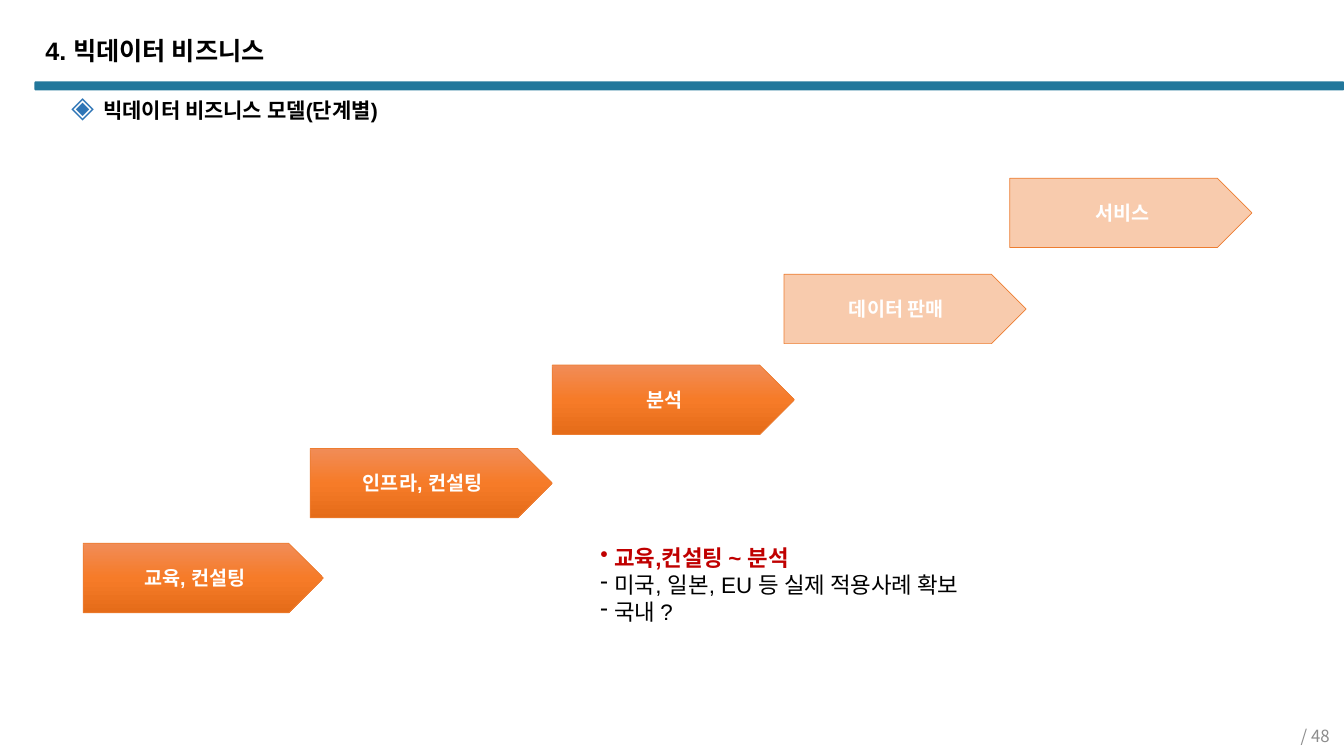
import copy

import pptx
import pptx.dml.color
import pptx.enum.shapes
import pptx.enum.text
import pptx.oxml.ns
import pptx.util
from lxml import etree

Cm, Pt = pptx.util.Cm, pptx.util.Pt
RGB = pptx.dml.color.RGBColor.from_string
SHAPE = pptx.enum.shapes.MSO_SHAPE
ALIGN = pptx.enum.text.PP_ALIGN
ANCHOR = pptx.enum.text.MSO_ANCHOR
qn = pptx.oxml.ns.qn

COLORS = {
    "bar": "22779B", "text": "000000", "white": "FFFFFF", "page": "8C8C8C",
    "diamond": "2E75B6", "accent": "C00000", "edge": "ED7D31", "pale": "F8CBAD",
    "top": "F18C57", "middle": "F67B28", "bottom": "E56C19",
}
HANGUL = "Noto Sans CJK KR"


def write(p, text, size=14, color="text", bold=False, font="Arial", align=ALIGN.LEFT,
          bullet=None, indent=0, bullet_color=None, bullet_size=None):
    p.alignment = align
    if bullet:
        pPr = p._p.get_or_add_pPr()
        pPr.set("marL", str(Cm(indent)))
        pPr.set("indent", str(-Cm(indent)))
        if bullet_color:
            clr = etree.SubElement(pPr, qn("a:buClr"))
            etree.SubElement(clr, qn("a:srgbClr"), val=COLORS[bullet_color])
        if bullet_size:
            etree.SubElement(pPr, qn("a:buSzPct"), val=str(bullet_size * 1000))
        etree.SubElement(pPr, qn("a:buChar"), char=bullet)
    r = p.add_run()
    r.text = text
    r.font.size, r.font.bold, r.font.name = Pt(size), bold, font
    r.font.color.rgb = RGB(COLORS[color])
    etree.SubElement(r._r.get_or_add_rPr(), qn("a:ea"), typeface=HANGUL)


def add_box(x, y, w, h, margin=None):
    tf = s.shapes.add_textbox(Cm(x), Cm(y), Cm(w), Cm(h)).text_frame
    tf.word_wrap = True
    if margin is not None:
        tf.margin_left = tf.margin_right = tf.margin_top = tf.margin_bottom = Cm(margin)
    return tf


prs = pptx.Presentation()
prs.slide_width, prs.slide_height = Cm(33.87), Cm(19.05)
s = prs.slides.add_slide(prs.slide_layouts[5])

# Title and the bar under it
title = s.shapes.title
title.left, title.top, title.width, title.height = Cm(0.89), Cm(0.84), Cm(20.07), Cm(1.19)
tf = title.text_frame
tf.vertical_anchor = ANCHOR.TOP
tf.paragraphs[0].line_spacing = 0.9
write(tf.paragraphs[0], "4. 빅데이터 비즈니스", size=18, bold=True)

bar = s.shapes.add_shape(SHAPE.ROUNDED_RECTANGLE, Cm(0.87), Cm(2.05), Cm(33), Cm(0.23))
bar.adjustments[0] = 0.13
bar.shadow.inherit = False
bar.fill.solid()
bar.fill.fore_color.rgb = RGB(COLORS["bar"])
bar.line.fill.background()

# Subtitle
tf = add_box(1.8, 2.46, 22.3, 0.64, margin=0)
write(tf.paragraphs[0], "빅데이터 비즈니스 모델(단계별)", size=15, bold=True,
      bullet="◈", indent=0.8, bullet_color="diamond", bullet_size=140)

# Rising steps: label, left, top, width, already in use
steps = [
    ("교육, 컨설팅", 2.1, 13.69, 6.05, True),
    ("인프라, 컨설팅", 7.82, 11.3, 6.1, True),
    ("분석", 13.92, 9.2, 6.1, True),
    ("데이터 판매", 19.76, 6.91, 6.1, False),
    ("서비스", 25.45, 4.49, 6.1, False),
]
for label, x, y, w, active in steps:
    sp = s.shapes.add_shape(SHAPE.PENTAGON, Cm(x), Cm(y), Cm(w), Cm(1.75))
    sp.shadow.inherit = False
    sp.line.color.rgb = RGB(COLORS["edge"])
    sp.line.width = Pt(0.5)
    if active:
        sp.fill.gradient()
        sp.fill.gradient_angle = 270
        first = sp.fill._fill._gradFill.find(qn("a:gsLst"))[0]
        first.addnext(copy.deepcopy(first))
        for stop, name, pos in zip(sp.fill.gradient_stops, ("top", "middle", "bottom"), (0, 0.5, 1)):
            stop.color.rgb = RGB(COLORS[name])
            stop.position = pos
    else:
        sp.fill.solid()
        sp.fill.fore_color.rgb = RGB(COLORS["pale"])
    tf = sp.text_frame
    tf.margin_top = tf.margin_bottom = 0
    tf.vertical_anchor = ANCHOR.MIDDLE
    write(tf.paragraphs[0], label, color="white", bold=True, align=ALIGN.CENTER)

# Remarks on the steps in use
tf = add_box(14.88, 13.59, 17.32, 2.31)
write(tf.paragraphs[0], "교육,컨설팅 ~ 분석", size=16, color="accent", bold=True,
      bullet="•", indent=0.35)
for line in ("미국, 일본, EU 등 실제 적용사례 확보", "국내 ?"):
    write(tf.add_paragraph(), line, size=16, bullet="-", indent=0.35)

# Page count
tf = add_box(25.96, 18.26, 7.8, 0.58)
tf.vertical_anchor = ANCHOR.MIDDLE
write(tf.paragraphs[0], "/ 48", size=12, color="page", font=HANGUL, align=ALIGN.RIGHT)

prs.save("out.pptx")
